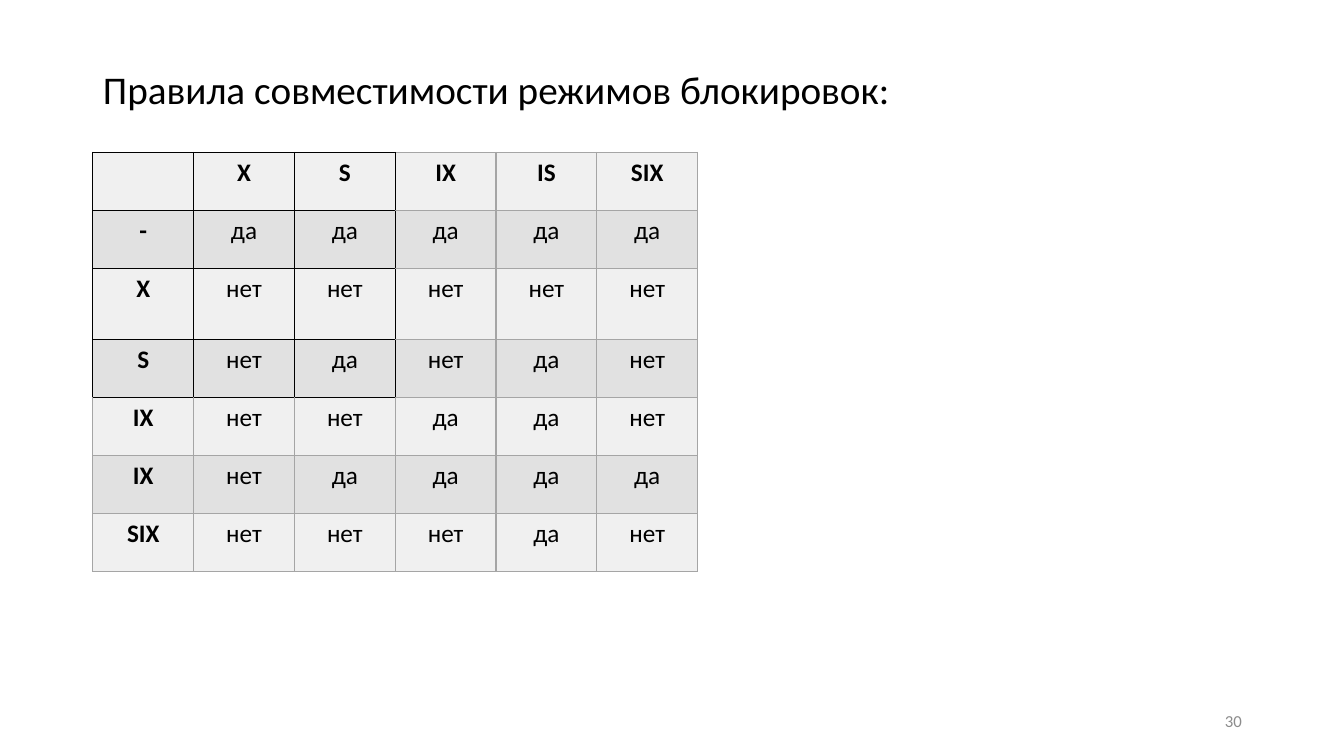
"""Build the slide with the compatibility table of lock modes."""
from lxml import etree
from pptx import Presentation
from pptx.dml.color import RGBColor
from pptx.enum.text import MSO_ANCHOR, MSO_AUTO_SIZE, PP_ALIGN
from pptx.oxml.ns import qn
from pptx.util import Cm, Pt

BLACK = RGBColor(0x00, 0x00, 0x00)
GRID_GREY = RGBColor(0xA5, 0xA5, 0xA5)
NUMBER_GREY = RGBColor(0x8C, 0x8C, 0x8C)
BAND_FILLS = RGBColor(0xF0, 0xF0, 0xF0), RGBColor(0xE1, 0xE1, 0xE1)
TOP, MIDDLE = MSO_ANCHOR.TOP, MSO_ANCHOR.MIDDLE
CENTER, RIGHT, JUSTIFY = PP_ALIGN.CENTER, PP_ALIGN.RIGHT, PP_ALIGN.JUSTIFY
NO_AUTOFIT = MSO_AUTO_SIZE.NONE

LOCK_ROWS = [
    ["", "X", "S", "IX", "IS", "SIX"],
    ["-", "да", "да", "да", "да", "да"],
    ["X", "нет", "нет", "нет", "нет", "нет"],
    ["S", "нет", "да", "нет", "да", "нет"],
    ["IX", "нет", "нет", "да", "да", "нет"],
    ["IX", "нет", "да", "да", "да", "да"],
    ["SIX", "нет", "нет", "нет", "да", "нет"],
]
BLACK_ROWS, BLACK_COLUMNS = 4, 3
COLUMN_WIDTH, ROW_HEIGHT, TALL_ROW_HEIGHT = Cm(2.54), Cm(1.46), Cm(1.8)
TALL_ROW = 2


def write_text(frame, text, color, alignment, **font_values):
    frame.text = text
    para = frame.paragraphs[0]
    para.alignment = alignment
    for span in para.runs:
        span.font.color.rgb = color
        for name, value in {"name": "Calibri", "bold": False, **font_values}.items():
            setattr(span.font, name, value)
    return para


def add_border(cell, side, color):
    line = etree.SubElement(cell._tc.get_or_add_tcPr(), qn(f"a:ln{side}"), w=str(Pt(1)))
    fill = etree.SubElement(line, qn("a:solidFill"))
    etree.SubElement(fill, qn("a:srgbClr"), val=str(color))


deck = Presentation()
deck.slide_width, deck.slide_height = Cm(33.87), Cm(19.05)
page = deck.slides.add_slide(deck.slide_layouts[5])

title = page.shapes.title
title_place = {"left": Cm(2.34), "top": Cm(1.65), "width": Cm(29.21), "height": Cm(16.66)}
for name, value in title_place.items():
    setattr(title, name, value)
title_format = {"vertical_anchor": TOP, "word_wrap": True, "auto_size": NO_AUTOFIT}
for name, value in title_format.items():
    setattr(title.text_frame, name, value)
para = write_text(title.text_frame, "Правила совместимости режимов блокировок:",
                  BLACK, JUSTIFY, size=Pt(28))
para.line_spacing = 0.9
para.space_before = Pt(10)

row_count, column_count = len(LOCK_ROWS), len(LOCK_ROWS[0])
table = page.shapes.add_table(row_count, column_count, Cm(2.34), Cm(3.84),
                              COLUMN_WIDTH * column_count, ROW_HEIGHT * row_count).table
for column in table.columns:
    column.width = COLUMN_WIDTH
for row_index, lock_row in enumerate(LOCK_ROWS):
    table.rows[row_index].height = TALL_ROW_HEIGHT if row_index == TALL_ROW else ROW_HEIGHT
    for column_index, text in enumerate(lock_row):
        cell = table.cell(row_index, column_index)
        in_rows, in_columns = row_index < BLACK_ROWS, column_index < BLACK_COLUMNS
        inside = in_rows and in_columns
        black_sides = {
            "L": in_rows and column_index <= BLACK_COLUMNS,
            "R": inside,
            "T": in_columns and row_index <= BLACK_ROWS,
            "B": inside,
        }
        for side, is_black in black_sides.items():
            add_border(cell, side, BLACK if is_black else GRID_GREY)
        cell.fill.solid()
        cell.fill.fore_color.rgb = BAND_FILLS[row_index % 2]
        write_text(cell.text_frame, text, BLACK, CENTER, size=Pt(18),
                   bold=row_index == 0 or column_index == 0)

number_box = page.shapes.add_textbox(Cm(23.93), Cm(17.65), Cm(7.62), Cm(1.02))
number_format = {"vertical_anchor": MIDDLE, "word_wrap": True}
for name, value in number_format.items():
    setattr(number_box.text_frame, name, value)
write_text(number_box.text_frame, "30", NUMBER_GREY, RIGHT, size=Pt(12))

deck.save("out.pptx")
